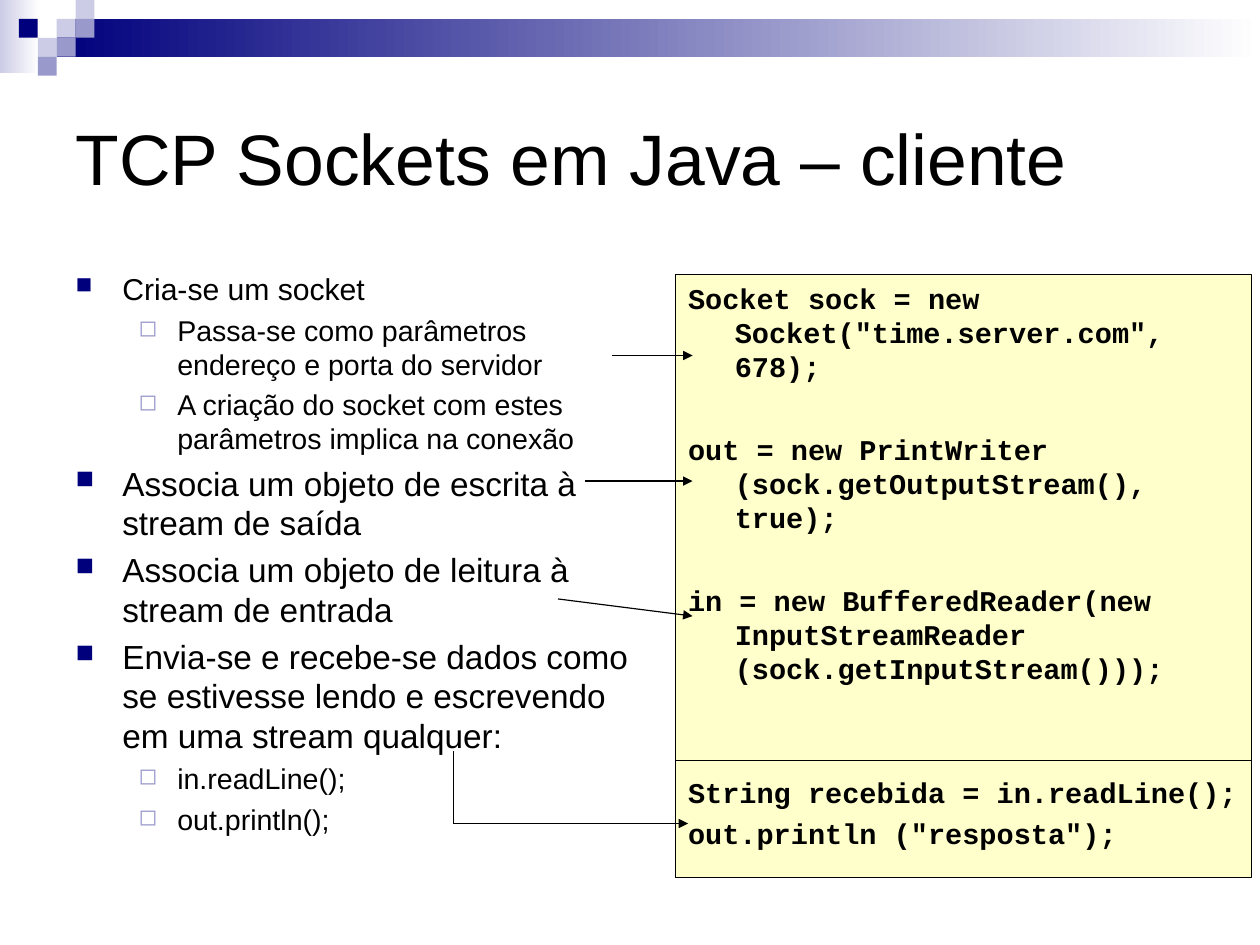
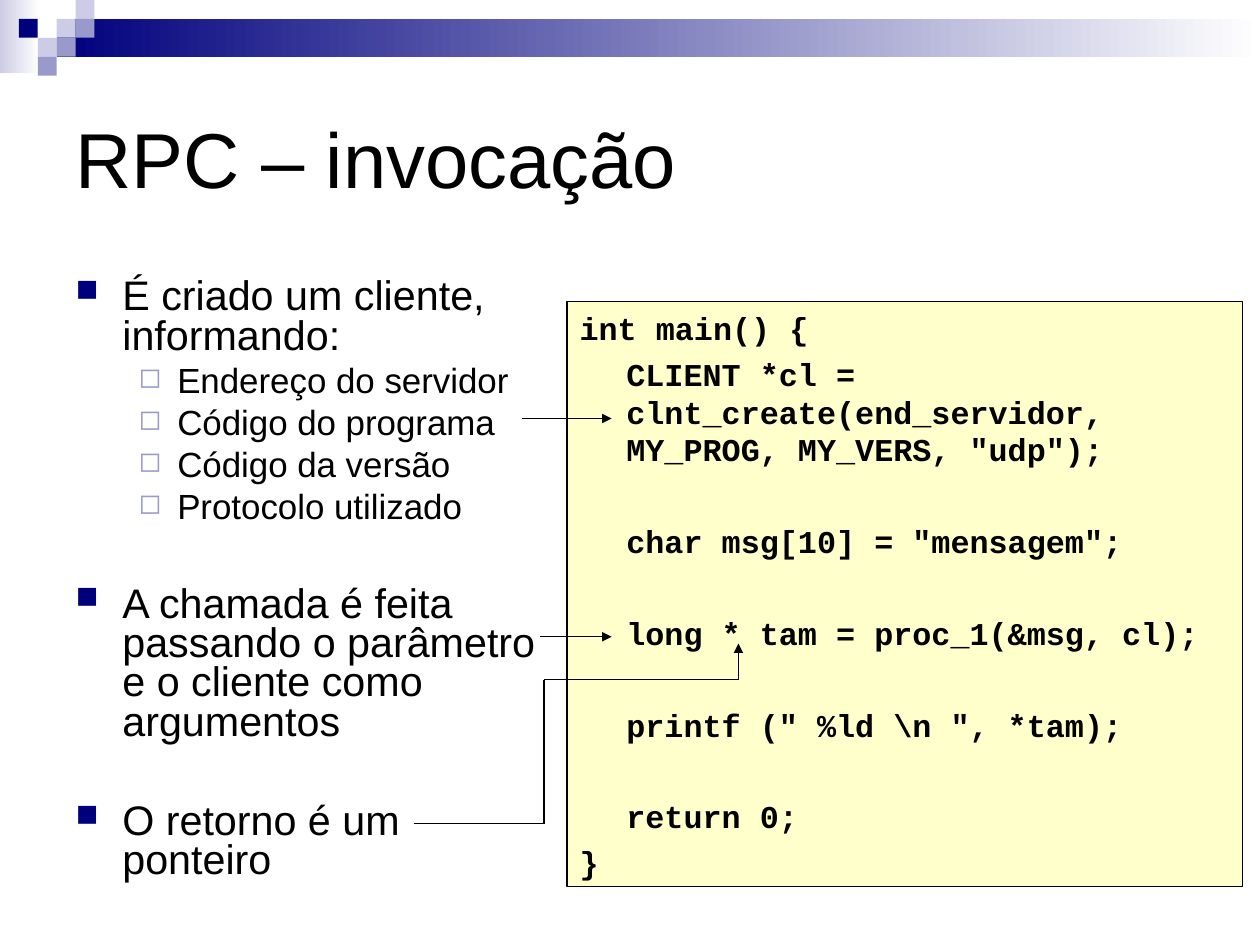
from lxml.etree import SubElement
from pptx import Presentation
from pptx.dml.color import RGBColor
from pptx.enum.shapes import MSO_CONNECTOR, MSO_SHAPE
from pptx.enum.text import MSO_ANCHOR, PP_ALIGN
from pptx.oxml.ns import qn
from pptx.util import Cm, Pt

NAVY, LAVENDER, PALE = "00007D", "9999CC", "CCCCE6"
WHITE, BLACK, CREAM = "FFFFFF", "000000", "FFFFCC"
SQUARE = 0.42
# column, row and colour of each square in the corner mosaic
MOSAIC = [(3, 1, PALE), (4, 0, PALE), (4, 1, LAVENDER), (2, 2, PALE),
          (1, 1, NAVY), (3, 2, LAVENDER), (2, 3, LAVENDER)]
# left margin and hanging indent in cm, bullet, its colour and size
BULLETS = [(1.04, 1.04, "■", NAVY, 75), (2.26, 0.86, "◻", LAVENDER, 80)]
CODE_INDENT = 1.04


def rgb(color):
    return RGBColor.from_string(color)


def add_bullet(paragraph, character, color, percent):
    properties = paragraph._p.get_or_add_pPr()
    bullet_color = SubElement(properties, qn("a:buClr"))
    SubElement(bullet_color, qn("a:srgbClr"), val=color)
    SubElement(properties, qn("a:buSzPct"), val=str(percent * 1000))
    SubElement(properties, qn("a:buChar"), char=character)


def set_indent(paragraph, margin, hanging):
    properties = paragraph._p.get_or_add_pPr()
    properties.set("marL", str(Cm(margin)))
    properties.set("indent", str(-Cm(hanging)))


class Deck:
    def __init__(self):
        self.presentation = Presentation()
        self.presentation.slide_width = Cm(28)
        self.presentation.slide_height = Cm(21)
        self.slide = None

    def add_slide(self, title, size):
        """Start a slide with the shared corner mosaic, band and title."""
        layout = self.presentation.slide_layouts[6]
        self.slide = self.presentation.slides.add_slide(layout)
        self.rectangle(0, 0, 0.88, 1.63, PALE, WHITE)
        self.rectangle(3 * SQUARE, SQUARE, 28 - 3 * SQUARE, 2 * SQUARE, NAVY, WHITE)
        for column, row, color in MOSAIC:
            self.rectangle(column * SQUARE, row * SQUARE, SQUARE, SQUARE, color)
        frame = self.text_box(1.4, 1.4, 25.2, 4.19)
        frame.vertical_anchor = MSO_ANCHOR.MIDDLE
        self.set_text(frame.paragraphs[0], title, size)

    def rectangle(self, left, top, width, height, color, fade_to=None):
        """Draw a plain rectangle, or one that fades to a second colour."""
        shape = self.slide.shapes.add_shape(
            MSO_SHAPE.RECTANGLE, Cm(left), Cm(top), Cm(width), Cm(height))
        shape.shadow.inherit = False
        shape.line.fill.background()
        if fade_to:
            shape.fill.gradient()
            shape.fill.gradient_angle = 0
            for stop, stop_color in zip(shape.fill.gradient_stops, (color, fade_to)):
                stop.color.rgb = rgb(stop_color)
        else:
            shape.fill.solid()
            shape.fill.fore_color.rgb = rgb(color)
        return shape

    def text_box(self, left, top, width, height):
        box = self.slide.shapes.add_textbox(Cm(left), Cm(top), Cm(width), Cm(height))
        return self.prepare(box.text_frame)

    def prepare(self, frame, right=0.28):
        """Set wrapping, anchor and margins of a text frame."""
        frame.word_wrap = True
        frame.vertical_anchor = MSO_ANCHOR.TOP
        frame.margin_left, frame.margin_right = Cm(0.28), Cm(right)
        frame.margin_top = frame.margin_bottom = Cm(0.15)
        return frame

    def set_text(self, paragraph, text, size, name="Arial", bold=False):
        paragraph.add_run().text = text
        paragraph.alignment = PP_ALIGN.LEFT
        font = paragraph.font
        font.size, font.name, font.bold = Pt(size), name, bold
        font.color.rgb = rgb(BLACK)

    def paragraphs(self, frame, items):
        """Yield a paragraph with each item."""
        for index, item in enumerate(items):
            yield (frame.add_paragraph() if index else frame.paragraphs[0]), item

    def set_spacing(self, paragraph, frame, size, leading, skipped):
        """Set the line height, and the space before, which grows by skipped lines."""
        line = round(size * leading, 1)
        first = paragraph._p is frame.paragraphs[0]._p
        before = 0 if first else size / 4 * (skipped + 1) + line * skipped
        paragraph.line_spacing = Pt(line)
        paragraph.space_before = Pt(before)

    def bullets(self, left, top, width, height, leading, items):
        """Items are level, size, text and skipped lines."""
        frame = self.text_box(left, top, width, height)
        for paragraph, (level, size, text, skipped) in self.paragraphs(frame, items):
            margin, hanging, character, color, percent = BULLETS[level]
            paragraph.level = level
            set_indent(paragraph, margin, hanging)
            add_bullet(paragraph, character, color, percent)
            self.set_spacing(paragraph, frame, size, leading, skipped)
            self.set_text(paragraph, text, size)

    def code(self, left, top, width, height, size, items):
        """Items are hanging indent, text and skipped lines."""
        shape = self.rectangle(left, top, width, height, CREAM)
        shape.line.color.rgb = rgb(BLACK)
        shape.line.width = Pt(0.75)
        frame = self.prepare(shape.text_frame, right=0.2)
        for paragraph, (hanging, text, skipped) in self.paragraphs(frame, items):
            set_indent(paragraph, CODE_INDENT, hanging)
            self.set_spacing(paragraph, frame, size, 1.195, skipped)
            self.set_text(paragraph, text, size, "Courier New", True)

    def line(self, start, end, arrow=False):
        connector = self.slide.shapes.add_connector(
            MSO_CONNECTOR.STRAIGHT, *map(Cm, start + end))
        connector.line.color.rgb = rgb(BLACK)
        connector.line.width = Pt(0.75)
        properties = connector._element.spPr
        if arrow:
            SubElement(properties.find(qn("a:ln")), qn("a:tailEnd"), type="triangle")
        SubElement(properties, qn("a:effectLst"))

    def arrow(self, *points):
        """Join the points by lines, with a head on the last one."""
        for index in range(1, len(points)):
            self.line(points[index - 1], points[index], index == len(points) - 1)


def build_client_slide(deck):
    deck.add_slide("TCP Sockets em Java – cliente", 45)
    deck.bullets(1.4, 5.87, 13.39, 14.05, 1.178, [
        (0, 19, "Cria-se um socket", 0),
        (1, 18, "Passa-se como parâmetros endereço e porta do servidor", 0),
        (1, 18, "A criação do socket com estes parâmetros implica na conexão", 0),
        (0, 21, "Associa um objeto de escrita à stream de saída", 0),
        (0, 21, "Associa um objeto de leitura à stream de entrada", 0),
        (0, 21, "Envia-se e recebe-se dados como se estivesse lendo e escrevendo "
                "em uma stream qualquer:", 0),
        (1, 18, "in.readLine();", 0),
        (1, 18, "out.println();", 0),
    ])
    deck.code(15.01, 6.1, 12.8, 13.41, 18, [
        (CODE_INDENT, 'Socket sock = new Socket("time.server.com", 678);', 0),
        (CODE_INDENT, "out = new PrintWriter (sock.getOutputStream(), true);", 1),
        (CODE_INDENT, "in = new BufferedReader(new InputStreamReader "
                      "(sock.getInputStream()));", 1),
        (CODE_INDENT, "String recebida = in.readLine();", 2),
        (CODE_INDENT, 'out.println ("resposta");', 0),
    ])
    deck.line((15.01, 16.9), (27.81, 16.9))
    deck.arrow((13.59, 7.9), (15.39, 7.9))
    deck.arrow((10.08, 16.69), (10.08, 18.3), (15.29, 18.3))
    deck.arrow((13, 10.69), (15.39, 10.69))
    deck.arrow((12.4, 13.31), (15.39, 13.69))


def build_rpc_slide(deck):
    deck.add_slide("RPC – invocação", 49)
    deck.bullets(1.4, 6.07, 11.2, 14.22, 0.953, [
        (0, 26, "É criado um cliente, informando:", 0),
        (1, 22, "Endereço do servidor", 0),
        (1, 22, "Código do programa", 0),
        (1, 22, "Código da versão", 0),
        (1, 22, "Protocolo utilizado", 0),
        (0, 26, "A chamada é feita passando o parâmetro e o cliente como argumentos", 1),
        (0, 26, "O retorno é um ponteiro", 1),
    ])
    deck.code(12.6, 6.71, 15.01, 13, 20, [
        (CODE_INDENT, "int main() {", 0),
        (0, 'CLIENT *cl = clnt_create(end_servidor, MY_PROG, MY_VERS, "udp");', 0),
        (0, 'char msg[10] = "mensagem";', 1),
        (0, "long * tam = proc_1(&msg, cl);", 1),
        (0, 'printf (" %ld \\n ", *tam);', 1),
        (0, "return 0;", 1),
        (CODE_INDENT, "}", 0),
    ])
    deck.arrow((11.61, 9.3), (13.59, 9.3))
    deck.arrow((11.99, 14.15), (13.59, 14.15))
    deck.arrow((9.19, 18.3), (12.09, 18.3), (12.09, 15.1), (16.41, 15.1), (16.41, 14.3))


def main():
    deck = Deck()
    build_client_slide(deck)
    build_rpc_slide(deck)
    deck.presentation.save("out.pptx")


if __name__ == "__main__":
    main()
